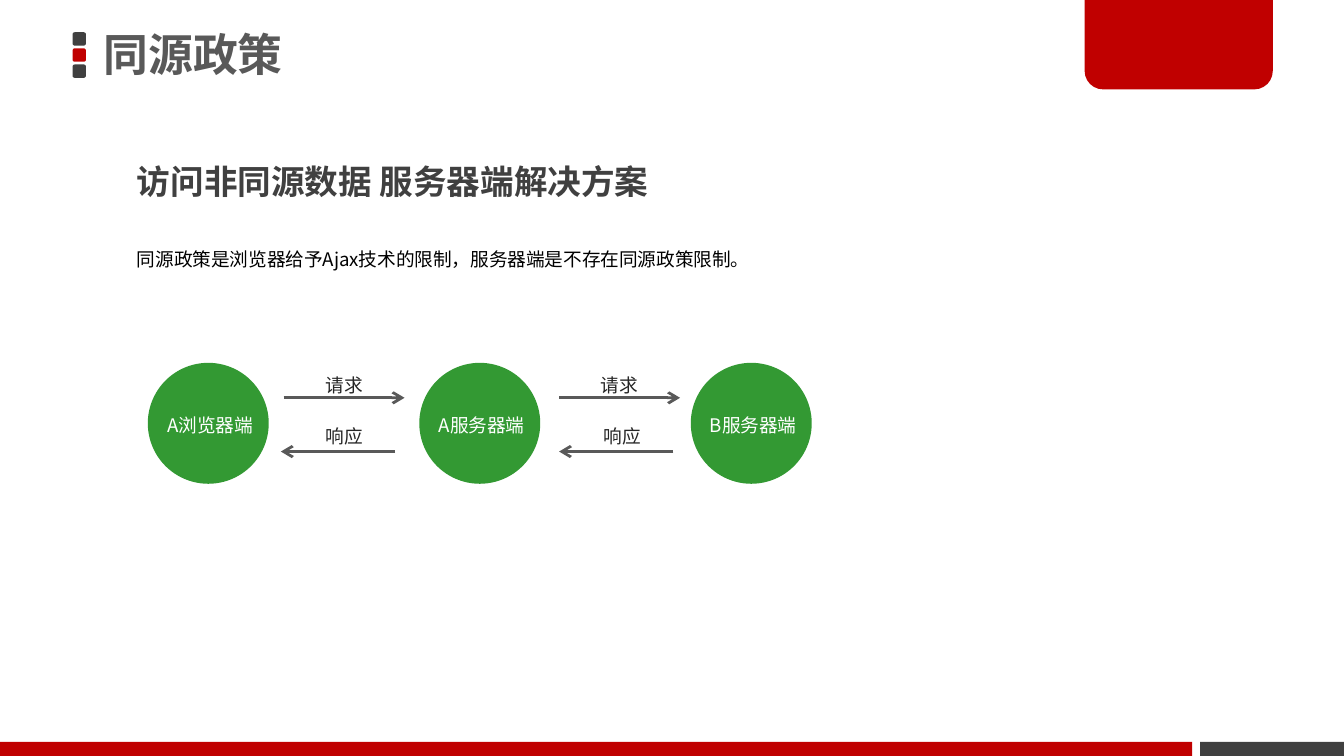
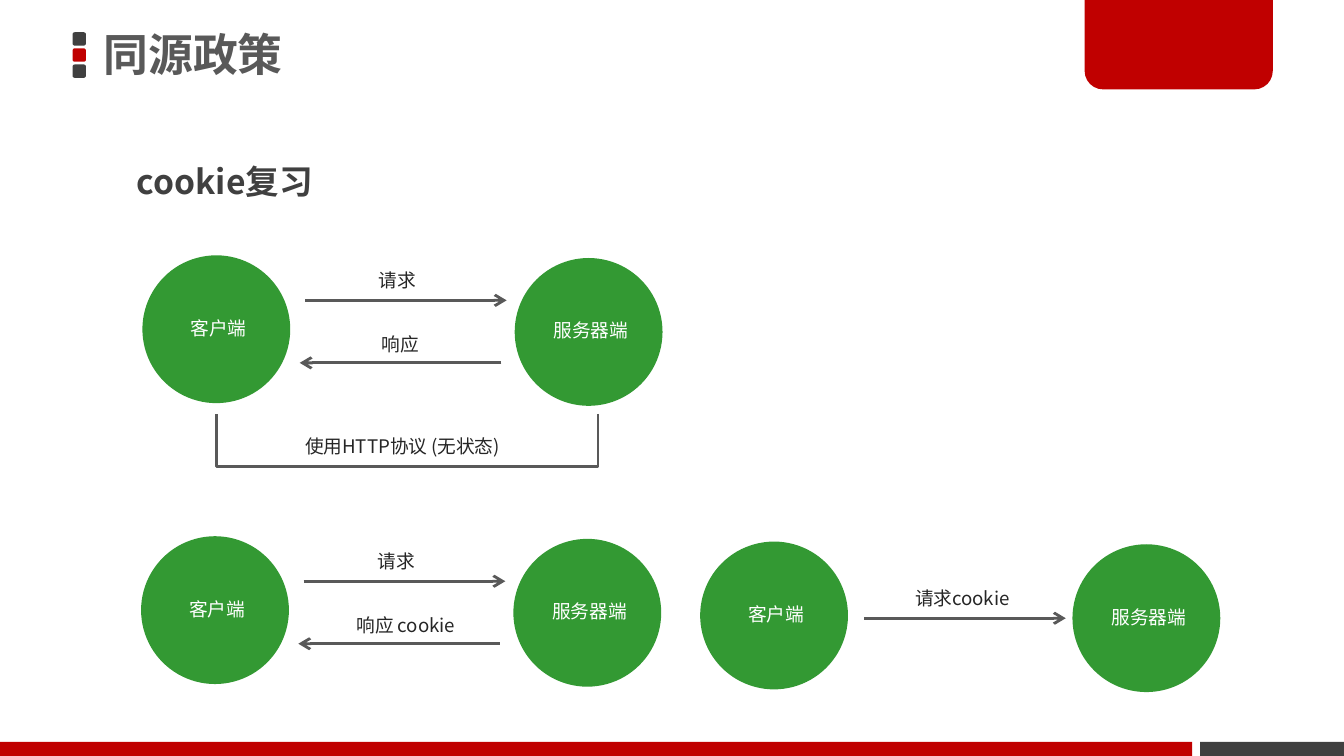
from lxml import etree
from pptx import Presentation
from pptx.dml.color import RGBColor
from pptx.enum.shapes import MSO_CONNECTOR, MSO_SHAPE
from pptx.enum.text import MSO_ANCHOR, MSO_AUTO_SIZE, PP_ALIGN
from pptx.oxml.ns import qn
from pptx.util import Inches, Pt

RECT, ROUNDED, OVAL = MSO_SHAPE.RECTANGLE, MSO_SHAPE.ROUNDED_RECTANGLE, MSO_SHAPE.OVAL
TAB = MSO_SHAPE.ROUND_2_SAME_RECTANGLE
STRAIGHT = MSO_CONNECTOR.STRAIGHT
TOP, MIDDLE = MSO_ANCHOR.TOP, MSO_ANCHOR.MIDDLE
LEFT, CENTER = PP_ALIGN.LEFT, PP_ALIGN.CENTER
NO_FIT, GROW = MSO_AUTO_SIZE.NONE, MSO_AUTO_SIZE.SHAPE_TO_FIT_TEXT

FONT = "Noto Sans CJK SC"
COLORS = {
    "red": "C00000",
    "dark": "404040",
    "gray": "595959",
    "green": "339933",
    "ink": "262626",
    "black": "000000",
    "white": "FFFFFF",
}
COLUMNS, ROWS = 100, 56.25
TITLE_ONLY = 5


def rgb(name):
    return RGBColor.from_string(COLORS[name])


def write(sp, text, size=10, color="ink", bold=False, align=LEFT, spacing=1.0,
          anchor=TOP, inset=(0.1, 0.05), fit=GROW):
    tf = sp.text_frame
    tf.word_wrap = True
    tf.auto_size = fit
    tf.vertical_anchor = anchor
    tf.margin_left = tf.margin_right = Inches(inset[0])
    tf.margin_top = tf.margin_bottom = Inches(inset[1])
    p = tf.paragraphs[0]
    p.alignment = align
    p.line_spacing = spacing
    r = p.add_run()
    r.text = text
    r.font.size = Pt(size)
    r.font.bold = bold
    r.font.color.rgb = rgb(color)
    r.font.name = FONT
    etree.SubElement(r.font._element, qn("a:ea"), typeface=FONT)


class Deck:
    def __init__(self, prs):
        self.prs = prs
        self.col = prs.slide_width / COLUMNS
        self.row = prs.slide_height / ROWS
        self.s = None

    def point(self, x, y):
        return round(x * self.col), round(y * self.row)

    def box(self, x, y, w, h):
        return *self.point(x, y), *self.point(w, h)

    def new_slide(self, title, heading):
        self.s = self.prs.slides.add_slide(self.prs.slide_layouts[TITLE_ONLY])
        for i, color in enumerate(("dark", "red", "dark")):
            self.shape(ROUNDED, color, 5.4, 2.4 + 1.2 * i, 1, 1)
        self.shape(RECT, "dark", 89.3, 55.2, 10.7, 1.05)
        tab = self.shape(TAB, "red", 80.7, -0.2, 14, 6.85)
        tab.adjustments[0], tab.adjustments[1] = 0.2, 0
        tab.rotation = 180
        self.shape(RECT, "red", 0, 55.2, 88.7, 1.05)
        sp = self.s.shapes.title
        sp.left, sp.top, sp.width, sp.height = self.box(6.9, -0.2, 58.9, 8.9)
        write(sp, title, size=24, color="gray", bold=True, spacing=0.9,
              anchor=MIDDLE, inset=(0.08, 0.04), fit=NO_FIT)
        self.text(heading, 9.2, 10, 62.8, 5.5, size=18, color="dark", bold=True, spacing=1.5)

    def shape(self, kind, color, x, y, w, h):
        sp = self.s.shapes.add_shape(kind, *self.box(x, y, w, h))
        sp.shadow.inherit = False
        sp.fill.solid()
        sp.fill.fore_color.rgb = rgb(color)
        sp.line.fill.background()
        return sp

    def text(self, text, x, y, w, h=2.7, **style):
        write(self.s.shapes.add_textbox(*self.box(x, y, w, h)), text, **style)

    def node(self, text, x, y, size):
        self.shape(OVAL, "green", x, y, size, size)
        self.text(text, x - 0.13 * size, y + 0.37 * size, 1.29 * size,
                  color="white", align=CENTER)

    def arrow(self, x1, x2, y):
        sp = self.s.shapes.add_connector(STRAIGHT, *self.point(x1, y), *self.point(x2, y))
        sp.line.color.rgb = rgb("gray")
        sp.line.width = Pt(1.5)
        spPr = sp._element.spPr
        etree.SubElement(spPr.find(qn("a:ln")), qn("a:tailEnd"), type="arrow")
        etree.SubElement(spPr, qn("a:effectLst"))

    def bracket(self, left, top, right, bottom):
        corners = [(right, top), (right, bottom), (left, bottom), (left, top)]
        points = [self.point(*corner) for corner in corners]
        builder = self.s.shapes.build_freeform(*points[0])
        builder.add_line_segments(points[1:], close=False)
        sp = builder.convert_to_shape()
        sp.shadow.inherit = False
        sp.fill.background()
        sp.line.color.rgb = rgb("gray")
        sp.line.width = Pt(1.5)

    def client_and_server(self, x, y):
        self.node("客户端", x, y, 11)
        self.node("服务器端", x + 27.7, y + 0.2, 11)

    def request(self, x, y):
        self.arrow(x + 12.1, x + 27.1, y + 3.35)
        self.text("请求", x + 16.6, y + 0.5, 7.1)

    def response(self, x, y):
        self.arrow(x + 26.7, x + 11.7, y + 8)


def build_server_solution(deck):
    deck.new_slide("同源政策", "访问非同源数据 服务器端解决方案")
    deck.text("同源政策是浏览器给予Ajax技术的限制，服务器端是不存在同源政策限制。",
              9.2, 17.1, 77.7, 3.5, color="black", spacing=1.5)
    for i, name in enumerate(("A浏览器端", "A服务器端", "B服务器端")):
        deck.node(name, 11 + 20.2 * i, 27, 9)
    label = {"align": CENTER, "spacing": 1.5}
    for i in range(2):
        x = 21.1 + 20.5 * i
        deck.arrow(x, x + 9, 29.6)
        deck.text("请求 ", x - 0.25, 26.5, 9.8, 3.5, **label)
        x = 20.9 + 20.7 * i
        deck.arrow(x + 8.5, x, 33.6)
        deck.text("响应 ", x, 30.3, 9.7, 3.5, **label)


def build_cookie_review(deck):
    deck.new_slide("同源政策", "cookie复习")

    x, y = 10.6, 19
    deck.client_and_server(x, y)
    deck.request(x, y)
    deck.response(x, y)
    deck.text("响应", x + 16.8, y + 5.3, 7.1)
    deck.bracket(16.1, 30.8, 44.5, 34.7)
    deck.text("使用HTTP协议 (无状态)", 20.1, 31.9, 19.7, align=CENTER)

    x, y = 10.5, 39.9
    deck.client_and_server(x, y)
    deck.request(x, y)
    deck.response(x, y)
    deck.text("响应 cookie", x + 11.7, y + 5.3, 16, align=CENTER)

    x, y = 52.1, 40.3
    deck.client_and_server(x, y)
    deck.arrow(x + 12.2, x + 27.2, y + 5.7)
    deck.text("请求cookie", x + 11.2, y + 2.9, 16.6, align=CENTER)


def main():
    prs = Presentation()
    prs.slide_width, prs.slide_height = Inches(10), Inches(5.625)
    deck = Deck(prs)
    build_server_solution(deck)
    build_cookie_review(deck)
    prs.save("out.pptx")


if __name__ == "__main__":
    main()
